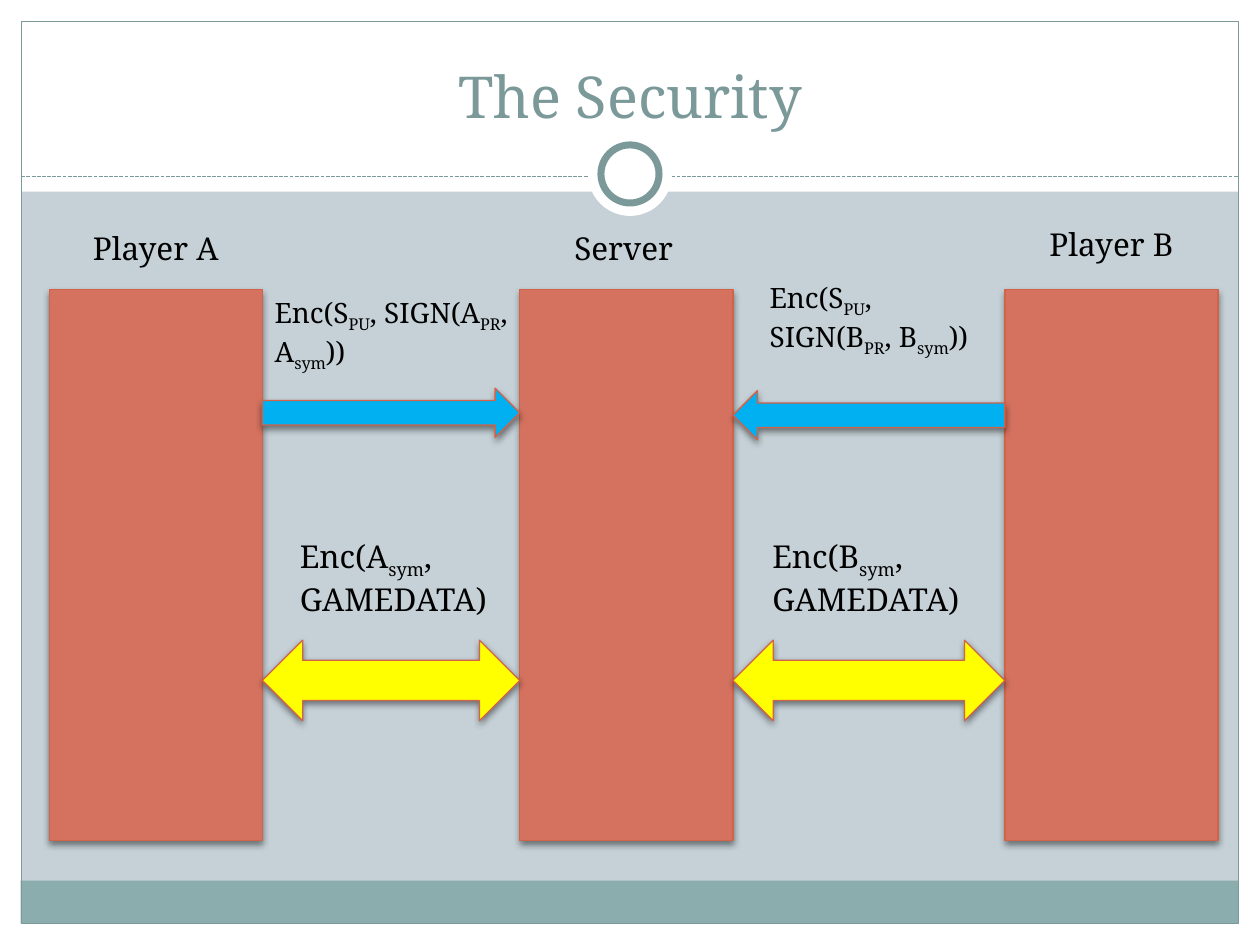
from lxml import etree
from pptx import Presentation
from pptx.dml.color import RGBColor
from pptx.enum.dml import MSO_LINE
from pptx.enum.shapes import MSO_CONNECTOR, MSO_SHAPE
from pptx.enum.text import MSO_ANCHOR, MSO_AUTO_SIZE, PP_ALIGN
from pptx.oxml import parse_xml
from pptx.oxml.ns import qn
from pptx.util import Pt

FONT = "Noto Serif"
WHITE = RGBColor(0xFF, 0xFF, 0xFF)
BLACK = RGBColor(0, 0, 0)
MIST = RGBColor(0xC5, 0xD1, 0xD7)
TEAL = RGBColor(0x8C, 0xAD, 0xAE)
SLATE = RGBColor(0x7C, 0x99, 0x9A)
CLAY = RGBColor(0xD4, 0x72, 0x5F)
RUST = RGBColor(0xD1, 0x63, 0x49)
BLUE = RGBColor(0x00, 0xB0, 0xF0)
YELLOW = RGBColor(0xFF, 0xFF, 0x00)

SLIDE_W, SLIDE_H = 720, 540
EDGE = 12.2
RULE_Y = 100.8
BAR_W, BAR_TOP, BAR_H = 121.8, 165.6, 314.6
BAR_LEFTS = (28.1, 297, 574.2)

# Margins, footer band: left, top, width, height, colour
BANDS = [
    (0, 527.8, SLIDE_W, EDGE, WHITE),
    (0, 0, SLIDE_W, 109.6, WHITE),
    (0, 0, EDGE, SLIDE_H, WHITE),
    (SLIDE_W - EDGE, 0, EDGE, SLIDE_H, WHITE),
    (11.8, 503.2, 695.8, 24.6, TEAL),
]

# Text, left, top, width, height, alignment
PARTIES = [
    ("Player A", 28.1, 127.4, BAR_W, 29, PP_ALIGN.CENTER),
    ("Server", 321.1, 127.4, 113, 29, PP_ALIGN.LEFT),
    ("Player B", 574.2, 125.3, BAR_W, 29, PP_ALIGN.CENTER),
]

# Parts at odd places are subscripts: parts, left, top, width, height, size
MESSAGES = [
    (("Enc(S", "PU", ", SIGN(A", "PR", ", A", "sym", "))"), 149.8, 165.6, 148, 67.7, 16),
    (("Enc(S", "PU", ", SIGN(B", "PR", ", B", "sym", "))"), 432.7, 157, 141.8, 67.7, 16),
    (("Enc(A", "sym", ", GAMEDATA)"), 164.2, 303.1, 198, 51, 18),
    (("Enc(B", "sym", ", GAMEDATA)"), 434.2, 303.1, 198, 51, 18),
]

# Shape, gap between bars, top, height, rotation, colour
ARROWS = [
    (MSO_SHAPE.RIGHT_ARROW, 0, 221.8, 28.1, 0, BLUE),
    (MSO_SHAPE.RIGHT_ARROW, 1, 223.2, 28.1, 180, BLUE),
    (MSO_SHAPE.LEFT_RIGHT_ARROW, 0, 365.8, 46.1, 0, YELLOW),
    (MSO_SHAPE.LEFT_RIGHT_ARROW, 1, 365.8, 46.1, 0, YELLOW),
]

SHADOW = (
    '<a:effectLst xmlns:a="http://schemas.openxmlformats.org/drawingml/2006/main">'
    '<a:outerShdw blurRad="50800" dist="25400" dir="5400000" rotWithShape="0">'
    '<a:srgbClr val="000000"><a:alpha val="45000"/></a:srgbClr>'
    "</a:outerShdw></a:effectLst>"
)


def add_box(kind, left, top, width, height, fill=None, line=None, weight=0.75):
    """Add a preset shape without a shadow."""
    sp = slide.shapes.add_shape(kind, Pt(left), Pt(top), Pt(width), Pt(height))
    sp.shadow.inherit = False
    if fill is None:
        sp.fill.background()
    else:
        sp.fill.solid()
        sp.fill.fore_color.rgb = fill
    if line is None:
        sp.line.fill.background()
    else:
        sp.line.color.rgb = line
        sp.line.width = Pt(weight)
    return sp


def add_raised(kind, left, top, width, height, fill):
    """Add an outlined shape with a soft shadow below it."""
    sp = add_box(kind, left, top, width, height, fill, RUST)
    effects = sp.element.spPr.find(qn("a:effectLst"))
    effects.getparent().replace(effects, parse_xml(SHADOW))
    return sp


def add_run(p, text, size, color):
    """Add one formatted run to a paragraph."""
    r = p.add_run()
    r.text = text
    r.font.name = FONT
    r.font.size = Pt(size)
    r.font.color.rgb = color
    return r


def add_text(parts, left, top, width, height, size, align=PP_ALIGN.LEFT):
    """Add a text box whose odd parts are subscripts."""
    tb = slide.shapes.add_textbox(Pt(left), Pt(top), Pt(width), Pt(height))
    tf = tb.text_frame
    tf.word_wrap = True
    p = tf.paragraphs[0]
    p.alignment = align
    for i, part in enumerate(parts):
        r = add_run(p, part, size, BLACK)
        if i % 2:
            r.font._element.set("baseline", "-25000")


def add_rule(y):
    """Add the dashed line under the title."""
    line = slide.shapes.add_connector(
        MSO_CONNECTOR.STRAIGHT, Pt(EDGE), Pt(y), Pt(SLIDE_W - EDGE), Pt(y))
    line.line.color.rgb = SLATE
    line.line.width = Pt(0.75)
    line.line.dash_style = MSO_LINE.SQUARE_DOT
    etree.SubElement(line._element.spPr, qn("a:effectLst"))


def set_title(text):
    """Place and fill the title placeholder."""
    title = slide.shapes.title
    title.left, title.top, title.width, title.height = Pt(24), Pt(18), Pt(672), Pt(59.8)
    tf = title.text_frame
    tf.auto_size = MSO_AUTO_SIZE.NONE
    tf.vertical_anchor = MSO_ANCHOR.BOTTOM
    p = tf.paragraphs[0]
    p.alignment = PP_ALIGN.CENTER
    add_run(p, text, 33, SLATE)
    slide.shapes._spTree.append(title._element)


prs = Presentation()
prs.slide_width, prs.slide_height = Pt(SLIDE_W), Pt(SLIDE_H)
slide = prs.slides.add_slide(prs.slide_layouts[5])
slide.background.fill.solid()
slide.background.fill.fore_color.rgb = MIST

for left, top, width, height, color in BANDS:
    add_box(MSO_SHAPE.RECTANGLE, left, top, width, height, color)
add_box(MSO_SHAPE.RECTANGLE, EDGE, EDGE, SLIDE_W - 2 * EDGE, SLIDE_H - 2 * EDGE, line=SLATE)
add_rule(RULE_Y)
for size, line in ((48, None), (33.2, SLATE)):
    add_box(MSO_SHAPE.OVAL, (SLIDE_W - size) / 2, 99.4 - size / 2, size, size, WHITE, line, 4)
set_title("The Security")

for left in BAR_LEFTS:
    add_raised(MSO_SHAPE.RECTANGLE, left, BAR_TOP, BAR_W, BAR_H, CLAY)
for name, left, top, width, height, align in PARTIES:
    add_text([name], left, top, width, height, 18, align)
for kind, gap, top, height, rotation, color in ARROWS:
    left = BAR_LEFTS[gap] + BAR_W
    sp = add_raised(kind, left, top, BAR_LEFTS[gap + 1] - left, height, color)
    sp.rotation = rotation
for message in MESSAGES:
    add_text(*message)

prs.save("out.pptx")
